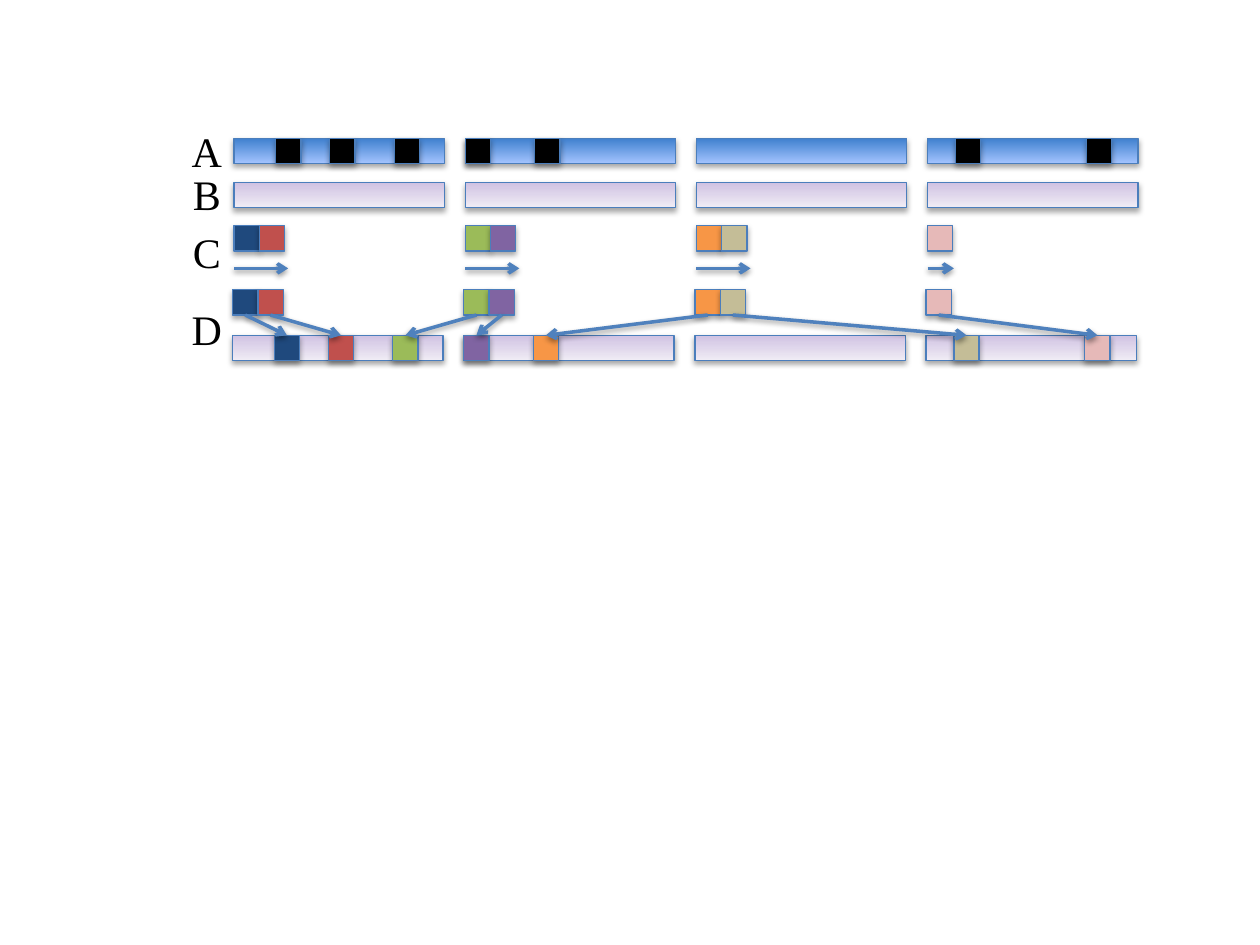
from lxml.etree import SubElement
from pptx import Presentation
from pptx.dml.color import RGBColor
from pptx.enum.shapes import MSO_CONNECTOR as Connector, MSO_SHAPE as Shape
from pptx.enum.text import MSO_AUTO_SIZE as AutoSize, PP_ALIGN as Align
from pptx.oxml.ns import qn
from pptx.util import Cm, Pt

BLACK = RGBColor(0x00, 0x00, 0x00)
OUTLINE = RGBColor(0x4B, 0x7E, 0xBC)
ARROW = RGBColor(0x4F, 0x81, 0xBD)
BLUE_BAR = (RGBColor(0x3F, 0x80, 0xCE), RGBColor(0xA4, 0xC4, 0xFF))
LILAC_BAR = (RGBColor(0xD0, 0xC2, 0xE2), RGBColor(0xF0, 0xEC, 0xF5))
FRAGMENT_COLORS = [
    RGBColor(0x1F, 0x49, 0x7D),
    RGBColor(0xC0, 0x50, 0x4D),
    RGBColor(0x9B, 0xBB, 0x59),
    RGBColor(0x80, 0x64, 0xA2),
    RGBColor(0xF7, 0x96, 0x46),
    RGBColor(0xC4, 0xBD, 0x97),
    RGBColor(0xE6, 0xB9, 0xB8),
]

LEFT, PITCH, BAR_WIDTH, CELL = 4.72, 4.66, 4.24, 0.51
SHIFT_D = -0.03
ROW_A, ROW_B, ROW_C, ROW_D, BAR_D = 2.79, 3.68, 4.55, 5.84, 6.76
ARROW_C = 5.41
columns = [LEFT + PITCH * i for i in range(4)]
sites = [columns[c] + offset for c, offset in
         [(0, 0.84), (0, 1.93), (0, 3.23), (1, 0), (1, 1.4), (3, 0.56), (3, 3.2)]]
fragments = [columns[i // 2] + CELL * (i % 2) for i in range(len(sites))]

prs = Presentation()
prs.slide_width, prs.slide_height = Cm(25.4), Cm(19.05)
slide = prs.slides.add_slide(prs.slide_layouts[6])


def add_block(x, y, width, *colors):
    block = slide.shapes.add_shape(Shape.RECTANGLE, Cm(x), Cm(y), Cm(width), Cm(CELL))
    if len(colors) == 1:
        block.fill.solid()
        block.fill.fore_color.rgb = colors[0]
    else:
        block.fill.gradient()
        block.fill.gradient_angle = 270
        for stop, color in zip(block.fill.gradient_stops, colors):
            stop.color.rgb = color
    block.line.color.rgb = OUTLINE
    block.line.width = Pt(0.75)


def add_label(text, *, top, size=24, font="Times New Roman", color=BLACK):
    label = slide.shapes.add_textbox(Cm(3.6), Cm(top), Cm(1.14), Cm(1.27))
    frame = label.text_frame
    frame.word_wrap = False
    frame.auto_size = AutoSize.SHAPE_TO_FIT_TEXT
    paragraph = frame.paragraphs[0]
    paragraph.alignment = Align.CENTER
    run = paragraph.add_run()
    run.text = text
    run.font.size = Pt(size)
    run.font.name = font
    run.font.color.rgb = color


for y, shift, bar_colors in [(ROW_A, 0, BLUE_BAR), (ROW_B, 0, LILAC_BAR),
                             (BAR_D, SHIFT_D, LILAC_BAR)]:
    for x in columns:
        add_block(x + shift, y, BAR_WIDTH, *bar_colors)

for site, fragment, color in zip(sites, fragments, FRAGMENT_COLORS):
    add_block(site, ROW_A, CELL, BLACK)
    add_block(fragment, ROW_C, CELL, color)
    add_block(fragment + SHIFT_D, ROW_D, CELL, color)
    add_block(site + SHIFT_D, BAR_D, CELL, color)

arrows = [(x, ARROW_C, x + length, ARROW_C)
          for x, length in zip(columns, [1.09, 1.09, 1.09, 0.53])]
center = CELL / 2 + SHIFT_D
arrows += [(fragment + center, ROW_D + CELL, site + center, BAR_D)
           for fragment, site in zip(fragments, sites)]
for ends in arrows:
    arrow = slide.shapes.add_connector(Connector.STRAIGHT, *[Cm(v) for v in ends])
    arrow.line.color.rgb = ARROW
    arrow.line.width = Pt(2)
    SubElement(arrow.element.spPr.find(qn("a:ln")), qn("a:tailEnd"), type="arrow")

for letter, top in [("A", 2.41), ("B", 3.28), ("C", 4.45), ("D", 5.99)]:
    add_label(letter, top=top)

prs.save("out.pptx")
